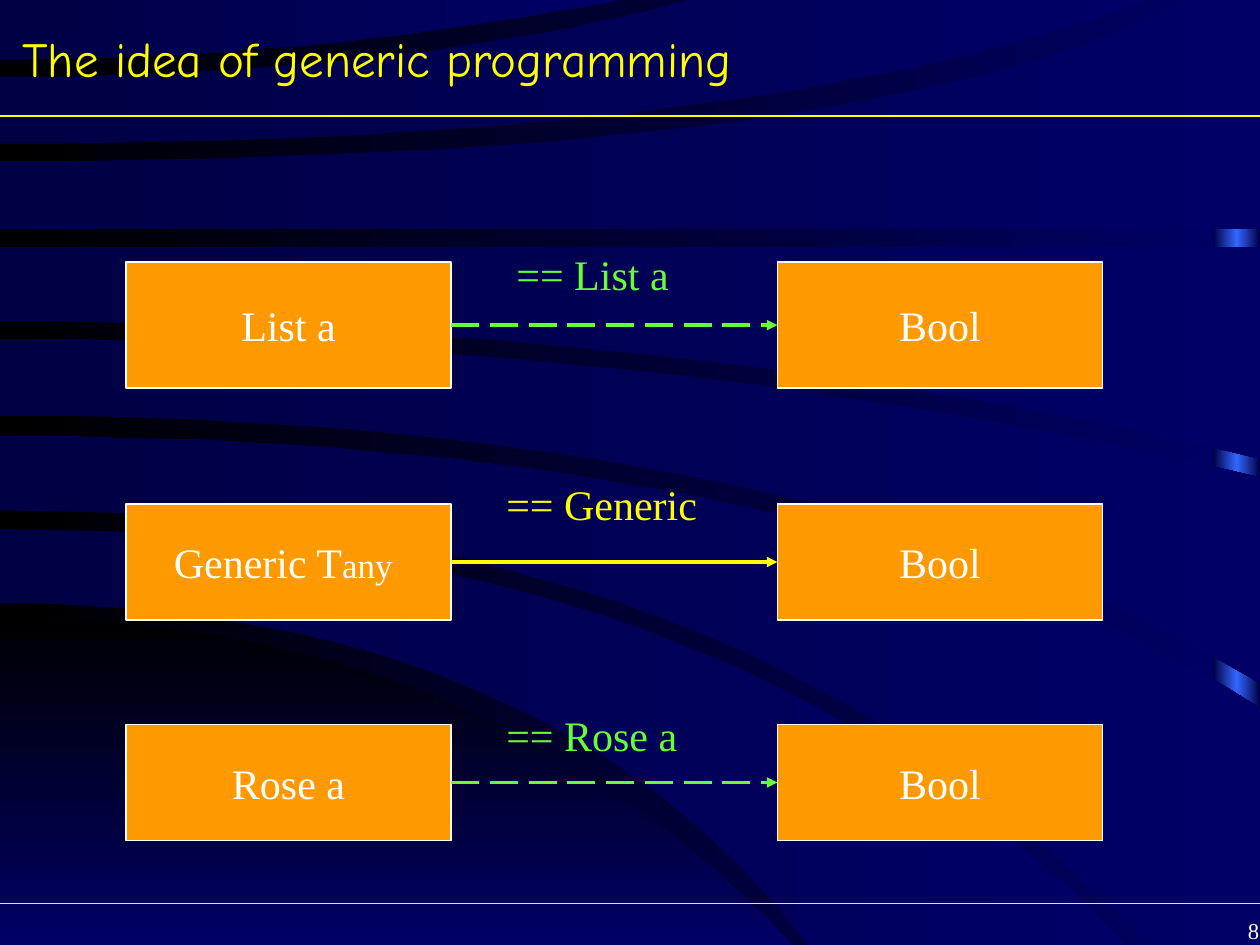
from dataclasses import dataclass

from lxml.etree import SubElement
from pptx import Presentation
from pptx.dml.color import RGBColor
from pptx.enum.dml import MSO_LINE_DASH_STYLE as Dash
from pptx.enum.shapes import MSO_CONNECTOR as Conn, MSO_SHAPE as Shape
from pptx.enum.text import MSO_ANCHOR as Anchor, PP_ALIGN as Align
from pptx.oxml.ns import qn
from pptx.util import Pt

PX = 9144  # 100 px to the inch
WIDTH, HEIGHT = 1000, 750
SERIF, HAND = "Times New Roman", "Comic Neue"
WHITE, YELLOW, GREEN, ORANGE = "FFFFFF", "FFFF00", "66FF33", "FF9900"
BLACK, DARK, NAVY, BLUE = "000000", "000044", "000066", "3366FF"
RIGHT_SIDE, LEFT_SIDE = 3, 1
BOX_W, SOURCE_X, RESULT_X = 258, 100, 617
CURVE_STEPS = 24

Run = tuple[str, float]
Point = tuple[int, int]


@dataclass
class Mapping:
    """One row: a source type, the equality arrow and its result type."""
    source: list[Run]
    label: str
    color: str
    dashed: bool
    top: int
    height: int
    label_x: int
    label_y: int
    label_w: int


@dataclass
class Edge:
    """A curve that leaves the left side level at y and bends towards end."""
    y: int
    bend_x: int
    end: Point

    def points(self) -> list[Point]:
        points = []
        for i in range(CURVE_STEPS + 1):
            t = i / CURVE_STEPS
            x = 2 * t * (1 - t) * self.bend_x + t * t * self.end[0]
            points.append((round(x), round(self.y + t * t * (self.end[1] - self.y))))
        return points


@dataclass
class Band:
    upper: Edge
    lower: Edge
    corners: tuple[Point, ...] = ()


MAPPINGS = [
    Mapping([("List a", 24)], "== List a", GREEN, True, 208, 100, 400, 192, 175),
    Mapping([("Generic T", 24), ("any", 20), (" ", 24)], "== Generic",
            YELLOW, False, 400, 92, 392, 375, 192),
    Mapping([("Rose a", 24)], "== Rose a", GREEN, True, 575, 92, 392, 558, 192),
]

CORNER = Band(Edge(491, 389, (629, HEIGHT)), Edge(HEIGHT, 315, (629, HEIGHT)))

# From back to front; the slits between the bands show the background.
BANDS = [
    Band(Edge(420, 588, (893, HEIGHT)), Edge(479, 433, (642, HEIGHT))),
    Band(Edge(346, 660, (WIDTH, 562)), Edge(405, 600, (909, HEIGHT)), ((WIDTH, HEIGHT),)),
    Band(Edge(269, 542, (WIDTH, 379)), Edge(330, 650, (WIDTH, 542))),
    Band(Edge(196, 500, (WIDTH, 196)), Edge(255, 546, (WIDTH, 364))),
    Band(Edge(128, 710, (943, -2)), Edge(182, 500, (WIDTH, 182)), ((WIDTH, -2),)),
    Band(Edge(61, 323, (556, -2)), Edge(114, 612, (917, -2))),
    Band(Edge(-2, 250, (501, -2)), Edge(47, 256, (501, -2))),
]


def rgb(color: str) -> RGBColor:
    return RGBColor.from_string(color)


def fill_gradient(fill, owner, colors: list[str], angle: int = 0) -> None:
    """Spread colors evenly; owner is the XML element that holds the fill."""
    fill.gradient()
    fill.gradient_angle = angle
    stops = owner.find(".//" + qn("a:gsLst"))
    stops.clear()
    for i, color in enumerate(colors):
        stop = SubElement(stops, qn("a:gs"), pos=str(100000 * i // (len(colors) - 1)))
        SubElement(stop, qn("a:srgbClr"), val=color)


def finish_backdrop(s, colors: list[str], angle: int = 0) -> None:
    s.shadow.inherit = False
    s.line.fill.background()
    fill_gradient(s.fill, s._element, colors, angle)


def add_band(slide, band: Band, colors: list[str], angle: int = 0) -> None:
    points = [*band.upper.points(), *band.corners, *reversed(band.lower.points())]
    builder = slide.shapes.build_freeform(*points[0], scale=PX)
    builder.add_line_segments(points[1:], close=True)
    finish_backdrop(builder.convert_to_shape(), colors, angle)


def set_text(s, runs: list[Run], *, font: str = SERIF, color: str = WHITE,
             align=Align.LEFT, anchor=Anchor.TOP, wrap: bool = True,
             spacing: float = 1.0) -> None:
    tf = s.text_frame
    tf.word_wrap = wrap
    tf.vertical_anchor = anchor
    p = tf.paragraphs[0]
    p.alignment = align
    p.line_spacing = spacing
    for text, size in runs:
        r = p.add_run()
        r.text = text
        r.font.name = font
        r.font.size = Pt(size)
        r.font.color.rgb = rgb(color)


def add_label(slide, x: int, y: int, w: int, h: int, runs: list[Run], **style) -> None:
    set_text(slide.shapes.add_textbox(x * PX, y * PX, w * PX, h * PX), runs, **style)


def add_box(slide, x: int, y: int, h: int, runs: list[Run]):
    s = slide.shapes.add_shape(Shape.RECTANGLE, x * PX, y * PX, BOX_W * PX, h * PX)
    s.shadow.inherit = False
    s.fill.solid()
    s.fill.fore_color.rgb = rgb(ORANGE)
    s.line.color.rgb = rgb(WHITE)
    s.line.width = Pt(0.75)
    set_text(s, runs, align=Align.CENTER, anchor=Anchor.MIDDLE, wrap=False)
    return s


def add_line(slide, start: Point, end: Point, color: str, width: float):
    line = slide.shapes.add_connector(Conn.STRAIGHT, *(v * PX for v in start + end))
    line.line.color.rgb = rgb(color)
    line.line.width = Pt(width)
    SubElement(line._element.spPr, qn("a:effectLst"))
    return line


def add_mapping(slide, m: Mapping) -> None:
    source = add_box(slide, SOURCE_X, m.top, m.height, m.source)
    result = add_box(slide, RESULT_X, m.top, m.height, [("Bool", 24)])
    middle = m.top + m.height // 2
    arrow = add_line(slide, (SOURCE_X + BOX_W, middle), (RESULT_X, middle), m.color, 2)
    arrow.begin_connect(source, RIGHT_SIDE)
    arrow.end_connect(result, LEFT_SIDE)
    if m.dashed:
        arrow.line.dash_style = Dash.LONG_DASH
    SubElement(arrow.line._get_or_add_ln(), qn("a:tailEnd"), type="triangle")
    add_label(slide, m.label_x, m.label_y, m.label_w, 50, [(m.label, 24)], color=m.color)


def add_backdrop(slide) -> None:
    fill_gradient(slide.background.fill, slide._element, [BLACK, NAVY])
    add_band(slide, CORNER, [BLACK, NAVY], angle=270)
    strip = slide.shapes.add_shape(Shape.RECTANGLE, 963 * PX, 0, 37 * PX, HEIGHT * PX)
    finish_backdrop(strip, [DARK, BLUE, DARK])
    for band in BANDS:
        add_band(slide, band, [DARK, NAVY])
    for y in (717, 92):
        add_line(slide, (0, y), (1008, y), YELLOW, 0.75)


def main() -> None:
    prs = Presentation()
    prs.slide_width, prs.slide_height = WIDTH * PX, HEIGHT * PX
    slide = prs.slides.add_slide(prs.slide_layouts[6])
    add_backdrop(slide)
    add_label(slide, 930, 725, 79, 33, [("8", 12.9)], align=Align.RIGHT, spacing=0.9)
    add_label(slide, 8, 0, 850, 92, [("The idea of generic programming", 28)],
              font=HAND, color=YELLOW, anchor=Anchor.MIDDLE)
    for mapping in MAPPINGS:
        add_mapping(slide, mapping)
    prs.save("out.pptx")


if __name__ == "__main__":
    main()
